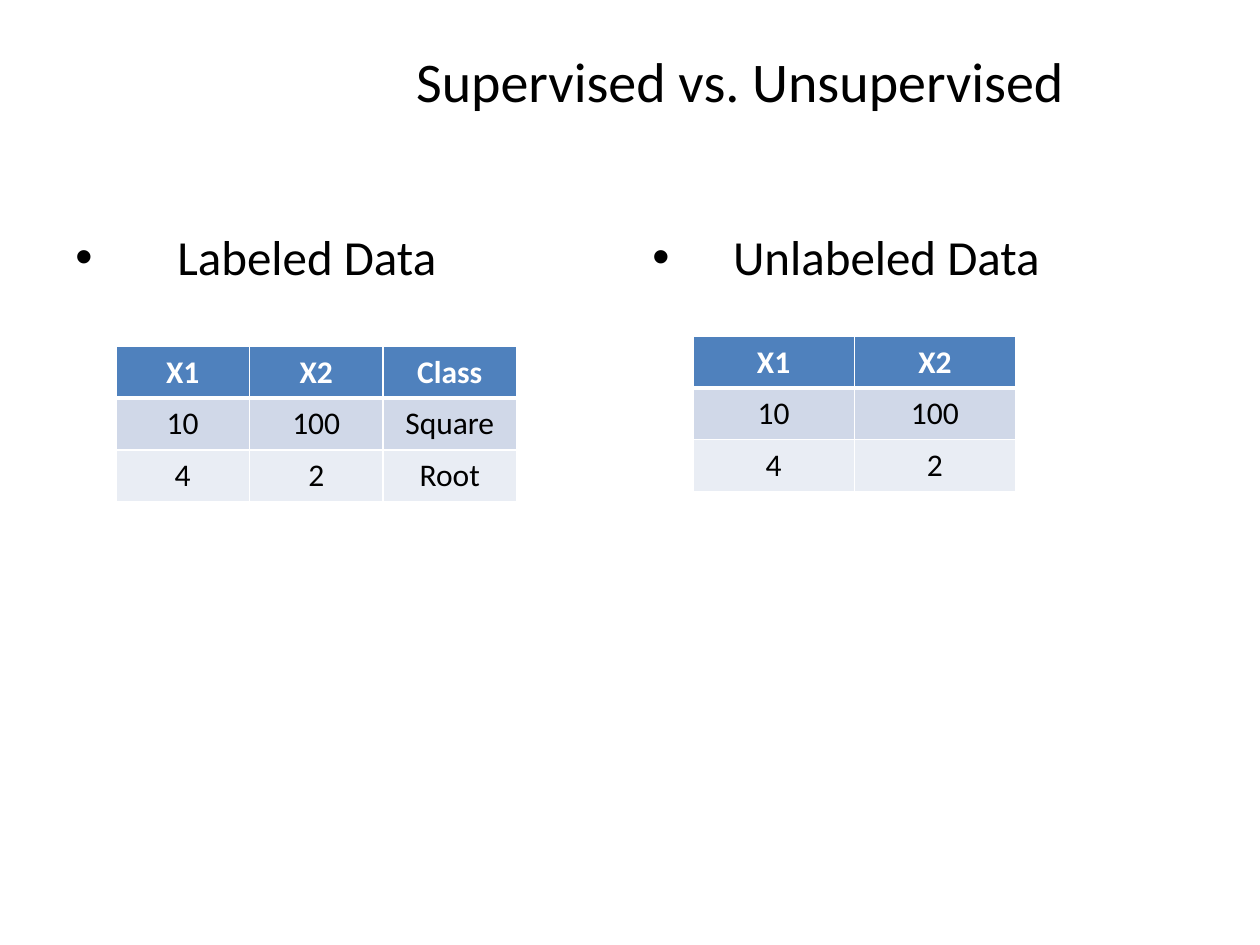
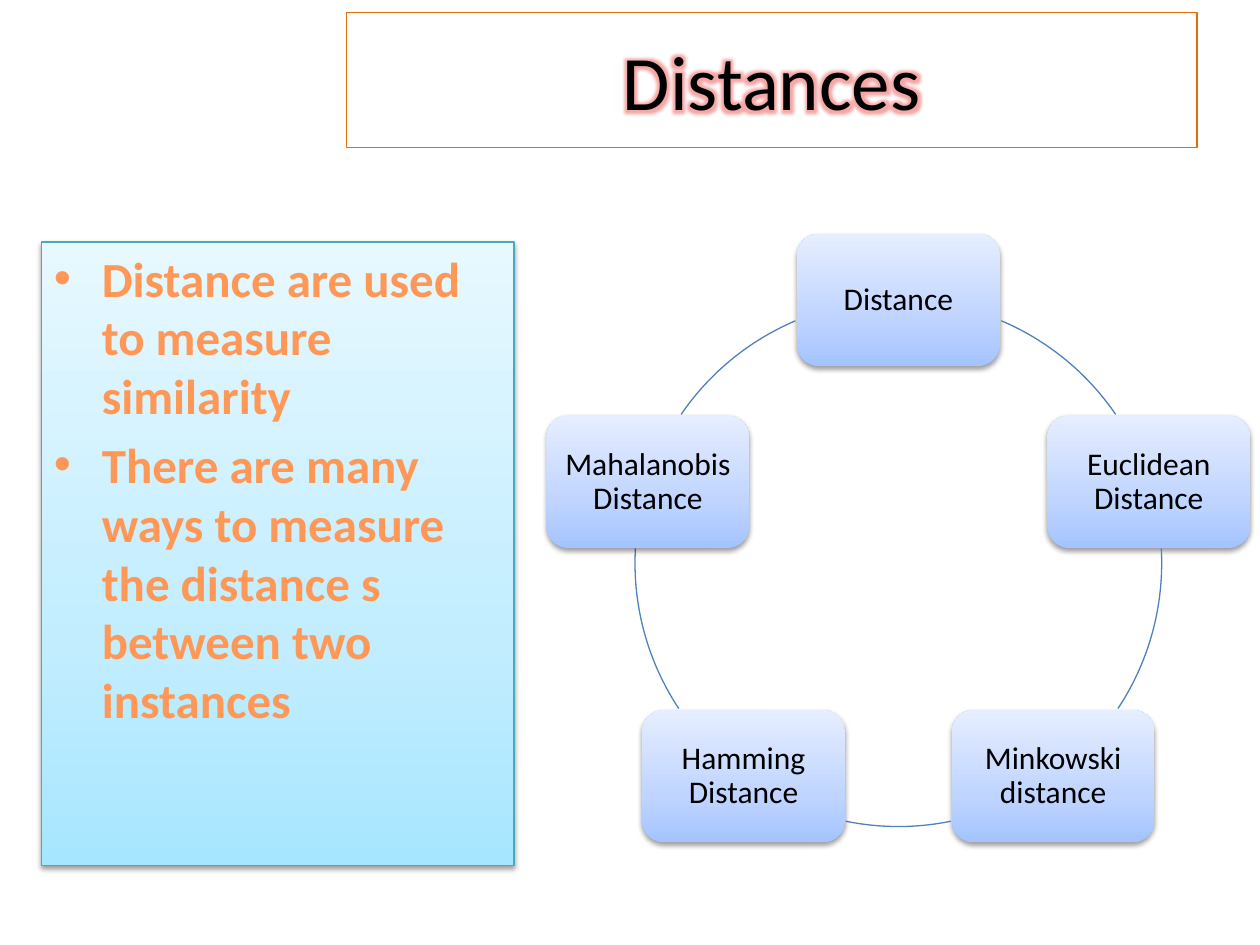
from dataclasses import dataclass
from math import cos, radians, sin

from lxml import etree
from pptx import Presentation
from pptx.dml.color import RGBColor
from pptx.enum.shapes import MSO_SHAPE
from pptx.enum.text import MSO_ANCHOR, PP_ALIGN
from pptx.oxml.ns import qn
from pptx.util import Inches, Pt

ARC, RECTANGLE, ROUNDED = MSO_SHAPE.ARC, MSO_SHAPE.RECTANGLE, MSO_SHAPE.ROUNDED_RECTANGLE
TOP, MIDDLE = MSO_ANCHOR.TOP, MSO_ANCHOR.MIDDLE
LEFT, CENTER = PP_ALIGN.LEFT, PP_ALIGN.CENTER


@dataclass(frozen=True)
class Theme:
    font: str = "Calibri"
    black: str = "000000"
    white: str = "FFFFFF"
    blue: str = "4F81BD"
    orange: str = "E46C0A"
    teal: str = "46AAC5"
    glow: str = "E5231F"
    row_bands: tuple = ("D0D8E8", "E9EDF4")
    node_gradient: tuple = ((0, "A4C4FF"), (35, "BFD4FF"), (100, "E6EEFF"))
    panel_gradient: tuple = ((0, "A7E6FF"), (35, "C1EDFF"), (100, "E7F8FF"))
    text_gradient: tuple = ((0, "9D4700"), (78, "FF9856"), (100, "FFF5F1"))
    title_size: int = 32
    large_title_size: int = 44
    body_size: int = 28
    label_size: int = 18
    thin_line: float = 0.75


THEME = Theme()


def rgb(color):
    return RGBColor.from_string(color)


def add_xml(parent, tag, **attributes):
    child = etree.SubElement(parent, qn(tag))
    for name, value in attributes.items():
        child.set(name, str(value))
    return child


def add_color(parent, color, opacity=100):
    element = add_xml(parent, "a:srgbClr", val=color)
    if opacity < 100:
        add_xml(element, "a:alpha", val=opacity * 1000)


def gradient_fill(stops, angle):
    fill = etree.Element(qn("a:gradFill"), rotWithShape="1")
    stop_list = add_xml(fill, "a:gsLst")
    for position, color in stops:
        add_color(add_xml(stop_list, "a:gs", pos=position * 1000), color)
    add_xml(fill, "a:lin", ang=angle * 60000, scaled=0)
    return fill


def set_gradient(shape, stops):
    shape.fill.background()
    empty_fill = shape._element.spPr.find(qn("a:noFill"))
    empty_fill.getparent().replace(empty_fill, gradient_fill(stops, 270))


def set_line(shape, color):
    shape.line.color.rgb = rgb(color)
    shape.line.width = Pt(THEME.thin_line)


def add_soft_shadow(shape):
    shape.shadow.inherit = False
    effects = shape._element.spPr.find(qn("a:effectLst"))
    shadow = add_xml(effects, "a:outerShdw", blurRad=Pt(3.1), dist=Pt(1.6),
                     dir=90 * 60000, rotWithShape=0)
    add_color(shadow, THEME.black, 38)


def add_glow(run, color):
    effects = etree.Element(qn("a:effectLst"))
    add_color(add_xml(effects, "a:glow", rad=Pt(8)), color, 40)
    run._r.rPr.find(qn("a:solidFill")).addnext(effects)


def set_bullet(paragraph, indent):
    properties = paragraph._p.get_or_add_pPr()
    properties.set("marL", str(Inches(indent)))
    properties.set("indent", str(-Inches(indent)))
    add_xml(properties, "a:buFont", typeface="Arial")
    add_xml(properties, "a:buChar", char="•")


def write_text(frame, *texts, size, color=THEME.black, bold=False, align=CENTER,
               anchor=MIDDLE, inset=None, line_spacing=None, bullet_indent=None,
               gradient=None, glow=None):
    """Write one paragraph for each text."""
    frame.word_wrap = True
    frame.vertical_anchor = anchor
    if inset is not None:
        frame.margin_left = frame.margin_right = Inches(inset)
        frame.margin_top = frame.margin_bottom = Inches(inset)
    for index, text in enumerate(texts):
        paragraph = frame.add_paragraph() if index else frame.paragraphs[0]
        paragraph.alignment = align
        if line_spacing:
            paragraph.line_spacing = line_spacing
        if bullet_indent:
            paragraph.space_before = Pt(size * 0.2)
            set_bullet(paragraph, bullet_indent)
        run = paragraph.add_run()
        run.text = text
        run.font.name = THEME.font
        run.font.size = Pt(size)
        run.font.bold = bold
        run.font.color.rgb = rgb(color)
        if glow:
            add_glow(run, glow)
        if gradient:
            properties = run._r.rPr
            properties.replace(properties.find(qn("a:solidFill")), gradient_fill(gradient, 90))


def add_text(slide, text, left, top, width, height, **text_format):
    box = slide.shapes.add_textbox(Inches(left), Inches(top), Inches(width), Inches(height))
    write_text(box.text_frame, text, **text_format)
    return box


def add_title(slide, text, left, size=THEME.title_size, **text_format):
    """Add a title that ends at the shared right margin."""
    return add_text(slide, text, left, 0.1, 9.5 - left, 1.07, size=size, **text_format)


def add_bulleted_heading(slide, text, left, indent):
    add_text(slide, text, left, 1.75, 4.42, 4.95, size=THEME.body_size,
             align=LEFT, anchor=TOP, bullet_indent=indent)


def set_cell_borders(cell, top, bottom):
    properties = cell._tc.get_or_add_tcPr()
    widths = (("a:lnL", 1), ("a:lnR", 1), ("a:lnT", top), ("a:lnB", bottom))
    for index, (tag, width) in enumerate(widths):
        border = etree.Element(qn(tag), w=str(Pt(width)))
        add_color(add_xml(border, "a:solidFill"), THEME.white)
        properties.insert(index, border)


def add_data_table(slide, rows, left, top, column_width):
    row_height = 0.41
    frame = slide.shapes.add_table(
        len(rows), len(rows[0]), Inches(left), Inches(top),
        Inches(column_width * len(rows[0])), Inches(row_height * len(rows)))
    table = frame.table
    for column in table.columns:
        column.width = Inches(column_width)
    for row_index, values in enumerate(rows):
        table.rows[row_index].height = Inches(row_height)
        header = row_index == 0
        for column_index, value in enumerate(values):
            cell = table.cell(row_index, column_index)
            cell.fill.solid()
            cell.fill.fore_color.rgb = rgb(
                THEME.blue if header else THEME.row_bands[(row_index - 1) % 2])
            set_cell_borders(cell, top=3 if row_index == 1 else 1, bottom=3 if header else 1)
            cell.vertical_anchor = MIDDLE
            write_text(cell.text_frame, value, size=THEME.label_size, bold=header,
                       color=THEME.white if header else THEME.black, anchor=None)


def add_panel(slide, *texts):
    panel = slide.shapes.add_shape(
        RECTANGLE, Inches(0.33), Inches(1.92), Inches(3.75), Inches(4.95))
    set_gradient(panel, THEME.panel_gradient)
    set_line(panel, THEME.teal)
    add_soft_shadow(panel)
    write_text(panel.text_frame, *texts, size=THEME.body_size, bold=True, align=LEFT,
               anchor=TOP, bullet_indent=0.38, gradient=THEME.text_gradient)


def add_node(slide, text, center_x, center_y):
    width, height = 1.61, 1.05
    node = slide.shapes.add_shape(
        ROUNDED, Inches(center_x - width / 2), Inches(center_y - height / 2),
        Inches(width), Inches(height))
    set_gradient(node, THEME.node_gradient)
    node.line.fill.background()
    add_soft_shadow(node)
    write_text(node.text_frame, text, size=THEME.label_size, inset=0.05, line_spacing=0.9)


def add_arc(slide, center_x, center_y, radius, start, end):
    """Draw a circular arc; angles are degrees clockwise from the right."""
    arc = slide.shapes.add_shape(
        ARC, Inches(center_x - radius), Inches(center_y - radius),
        Inches(2 * radius), Inches(2 * radius))
    for index, angle in enumerate((start, end)):
        arc.adjustments[index] = angle % 360 * 0.6
    arc.fill.background()
    set_line(arc, THEME.blue)
    arc.shadow.inherit = False


def add_cycle(slide, labels, arcs):
    """Place labels clockwise from the top of a circle, with arcs between them."""
    center_x, center_y, radius = 7.13, 4.47, 2.09
    for index, (label, (start, end)) in enumerate(zip(labels, arcs)):
        angle = radians(360 * index / len(labels) - 90)
        add_node(slide, label, center_x + radius * cos(angle), center_y + radius * sin(angle))
        add_arc(slide, center_x, center_y, radius, start, end)


def build_comparison(slide):
    add_title(slide, "Supervised vs. Unsupervised", 2.25)
    add_bulleted_heading(slide, "Labeled Data", 0.5, 0.81)
    add_bulleted_heading(slide, "Unlabeled Data", 5.08, 0.64)
    labeled = [("X1", "X2", "Class"), ("10", "100", "Square"), ("4", "2", "Root")]
    add_data_table(slide, labeled, 0.92, 2.75, 1.06)
    add_data_table(slide, [row[:2] for row in labeled], 5.5, 2.67, 1.28)


def build_distances(slide):
    title = add_title(slide, "Distances", 2.75, size=THEME.large_title_size, glow=THEME.glow)
    set_line(title, THEME.orange)
    labels = ("Distance", "Euclidean Distance", "Minkowski distance",
              "Hamming Distance", "Mahalanobis Distance")
    right_arcs = [(-67, -34.4), (-3.2, 33.5)]
    left_arcs = [(180 - end, 180 - start) for start, end in reversed(right_arcs)]
    add_cycle(slide, labels, right_arcs + [(78.5, 101.5)] + left_arcs)
    add_panel(slide, "Distance are used to measure similarity",
              "There are many ways to measure the distance s between two instances")


def main():
    presentation = Presentation()
    presentation.slide_width, presentation.slide_height = Inches(10), Inches(7.5)
    blank_layout = presentation.slide_layouts[6]
    for build in (build_comparison, build_distances):
        build(presentation.slides.add_slide(blank_layout))
    presentation.save("out.pptx")


if __name__ == "__main__":
    main()
